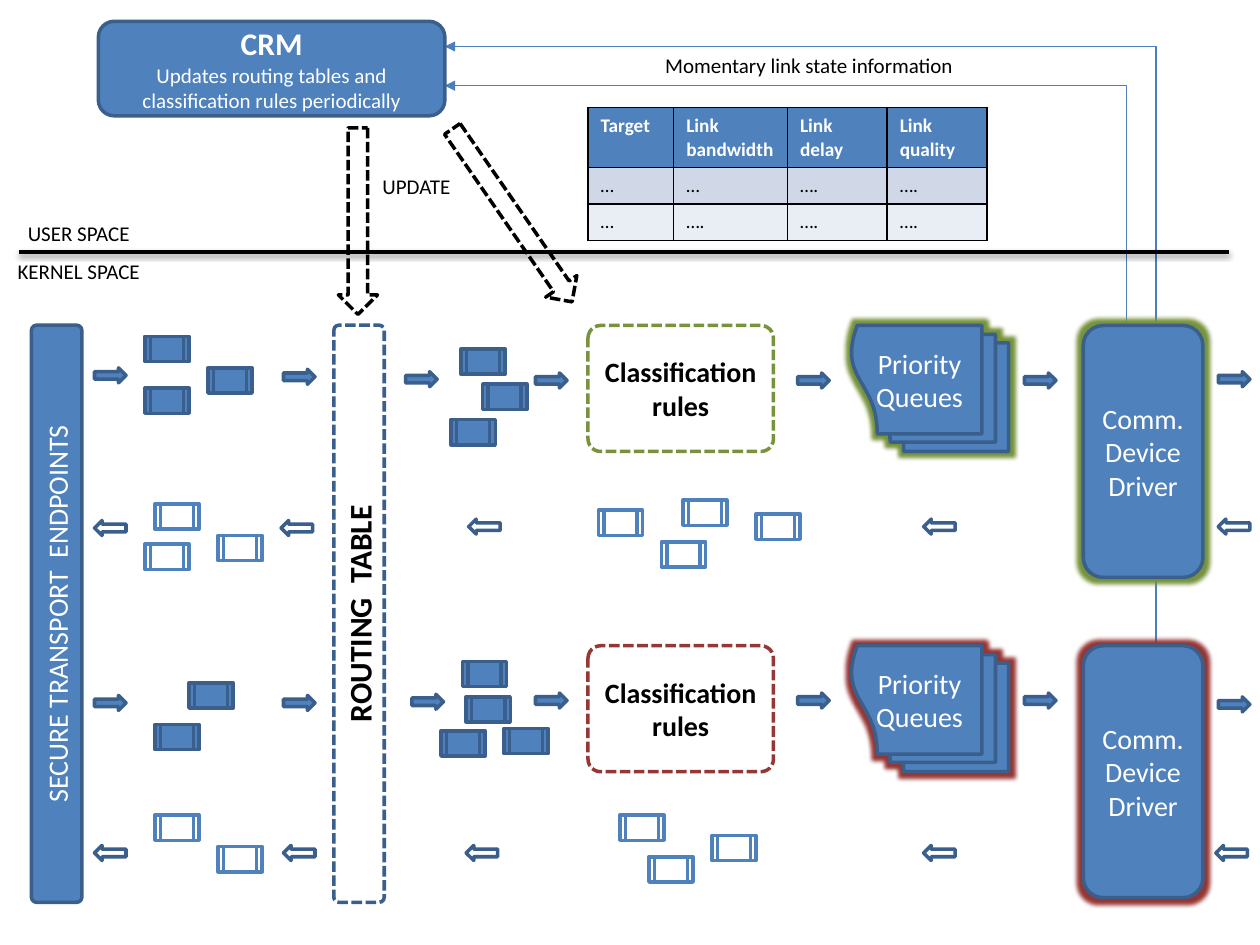
from lxml.etree import SubElement
from pptx import Presentation
from pptx.dml.color import RGBColor
from pptx.enum.dml import MSO_LINE
from pptx.enum.shapes import MSO_CONNECTOR, MSO_SHAPE
from pptx.enum.text import MSO_ANCHOR, MSO_AUTO_SIZE, PP_ALIGN
from pptx.oxml.ns import qn
from pptx.util import Pt

BLUE = RGBColor(0x4F, 0x81, 0xBD)
DARK_BLUE = RGBColor(0x3A, 0x5F, 0x8C)
LINK_BLUE = RGBColor(0x4B, 0x7E, 0xBC)
GREEN = RGBColor(0x77, 0x93, 0x3C)
RED = RGBColor(0x95, 0x37, 0x35)
BAND = RGBColor(0xD0, 0xD8, 0xE8)
PALE_BAND = RGBColor(0xE9, 0xED, 0xF4)
BLACK = RGBColor(0, 0, 0)
WHITE = RGBColor(0xFF, 0xFF, 0xFF)

deck = Presentation()
deck.slide_width, deck.slide_height = Pt(720), Pt(540)
page = deck.slides.add_slide(deck.slide_layouts[6])


def draw(kind, left, top, width, height, fill, outline, dashed=False, turn=0):
    shape = page.shapes.add_shape(kind, Pt(left), Pt(top), Pt(width), Pt(height))
    shape.shadow.inherit = False
    shape.rotation = turn
    if fill is None:
        shape.fill.background()
    else:
        shape.fill.solid()
        shape.fill.fore_color.rgb = fill
    shape.line.color.rgb = outline
    shape.line.width = Pt(2)
    if dashed:
        shape.line.dash_style = MSO_LINE.SQUARE_DOT
    return shape


def write(frame, lines, color, align=PP_ALIGN.CENTER, vertical=False):
    frame.word_wrap = True
    if vertical:
        frame._txBody.bodyPr.set("vert", "vert270")
    for index, (text, size, bold) in enumerate(lines):
        para = frame.add_paragraph() if index else frame.paragraphs[0]
        para.alignment = align
        span = para.add_run()
        span.text = text
        span.font.name = "Calibri"
        span.font.size = Pt(size)
        span.font.bold = bold
        span.font.color.rgb = color


# x and y of the driver end, y of the CRM end, bend position
for x, y, crm_y, bend in [(635.8, 185.8, 49, -2100), (660.2, 368.6, 26.6, -100)]:
    link = page.shapes.add_connector(
        MSO_CONNECTOR.ELBOW, Pt(x), Pt(y), Pt(254.2), Pt(crm_y))
    link.line.color.rgb = LINK_BLUE
    link.line.width = Pt(0.75)
    SubElement(link.line._get_or_add_ln(), qn("a:tailEnd"), type="triangle")
    guides = link.element.spPr.find(qn("a:prstGeom")).find(qn("a:avLst"))
    SubElement(guides, qn("a:gd"), name="adj1", fmla=f"val {bend}")
    SubElement(link.element.spPr, qn("a:effectLst"))

rows = [
    (33.5, BLUE, WHITE, ["Target", "Link bandwidth", "Link delay", "Link quality"]),
    (20.5, BAND, BLACK, ["…", "…", "….", "…."]),
    (20.5, PALE_BAND, BLACK, ["…", "….", "….", "…."]),
]
table = page.shapes.add_table(3, 4, Pt(336), Pt(61.4), Pt(228), Pt(74.5)).table
for column, width in zip(table.columns, [49, 65, 57, 57]):
    column.width = Pt(width)
for r, (height, fill, color, texts) in enumerate(rows):
    table.rows[r].height = Pt(height)
    for c, text in enumerate(texts):
        cell = table.cell(r, c)
        write(cell.text_frame, [(text, 11, r == 0)], color, PP_ALIGN.LEFT)
        properties = cell._tc.get_or_add_tcPr()
        for side in ("a:lnL", "a:lnR", "a:lnT", "a:lnB"):
            border = SubElement(properties, qn(side), w=str(Pt(1)))
            paint = SubElement(border, qn("a:solidFill"))
            SubElement(paint, qn("a:srgbClr"), val=str(BLACK))
        cell.fill.solid()
        cell.fill.fore_color.rgb = fill

crm = draw(MSO_SHAPE.ROUNDED_RECTANGLE, 56.2, 12.2, 198, 54, BLUE, DARK_BLUE)
write(crm.text_frame, [
    ("CRM", 18, True),
    ("Updates routing tables and classification rules periodically", 12, False),
], WHITE)

for left, text, size, fill, color in [
    (18, "SECURE TRANSPORT  ENDPOINTS", 16, BLUE, WHITE),
    (190.8, "ROUTING  TABLE", 18, None, BLACK),
]:
    pillar = draw(MSO_SHAPE.ROUNDED_RECTANGLE, left, 185.8, 28.8, 329.8,
                  fill, DARK_BLUE, dashed=fill is None)
    pillar.adjustments[0] = 0.1
    write(pillar.text_frame, [(text, size, fill is None)], color, vertical=True)

draw(MSO_SHAPE.RIGHT_ARROW, 151.2, 115.2, 106.6, 22.3, None, BLACK, True, 90)
draw(MSO_SHAPE.RIGHT_ARROW, 232.6, 112.3, 120.2, 21.6, None, BLACK, True, 55.3)

divider = page.shapes.add_connector(
    MSO_CONNECTOR.STRAIGHT, Pt(10.8), Pt(144), Pt(702), Pt(144))
divider.line.color.rgb = BLACK
divider.line.width = Pt(2)
effects = SubElement(divider.element.spPr, qn("a:effectLst"))
shadow = SubElement(effects, qn("a:outerShdw"), blurRad=str(Pt(3.1)),
                    dist=str(Pt(1.6)), dir="5400000", rotWithShape="0")
shade = SubElement(shadow, qn("a:srgbClr"), val=str(BLACK))
SubElement(shade, qn("a:alpha"), val="38000")

for text, left, top, width, align in [
    ("Momentary link state information", 373, 26.6, 192.2, PP_ALIGN.LEFT),
    ("UPDATE", 205.9, 95.8, 64.1, PP_ALIGN.CENTER),
    ("USER SPACE", 0, 122.4, 90, PP_ALIGN.CENTER),
    ("KERNEL SPACE", 0, 144, 90, PP_ALIGN.CENTER),
]:
    box = page.shapes.add_textbox(Pt(left), Pt(top), Pt(width), Pt(21.6))
    write(box.text_frame, [(text, 12, False)], BLACK, align)
    box.text_frame.auto_size = MSO_AUTO_SIZE.SHAPE_TO_FIT_TEXT

for top, accent in [(186, GREEN), (369, RED)]:
    rules = draw(MSO_SHAPE.ROUNDED_RECTANGLE, 336, top, 106, 72, None, accent, True)
    rules.adjustments[0] = 0.1
    write(rules.text_frame, [("Classification rules", 16, True)], BLACK)
    queues = draw(MSO_SHAPE.FLOWCHART_MULTIDOCUMENT, 495.4, top - 9, 72, 90,
                  BLUE, DARK_BLUE, turn=90)
    write(queues.text_frame, [("Priority", 16, False), ("Queues", 16, False)],
          WHITE, vertical=True)
    driver = draw(MSO_SHAPE.ROUNDED_RECTANGLE, 619, top, 68.4, 144, BLUE, DARK_BLUE)
    write(driver.text_frame,
          [(word, 16, False) for word in ("Comm.", "Device", "Driver")], WHITE)
    for shape in (rules, queues, driver):
        shape.text_frame.vertical_anchor = MSO_ANCHOR.MIDDLE
    for shape in (queues, driver):
        effects = shape.element.spPr.find(qn("a:effectLst"))
        glow = SubElement(effects, qn("a:glow"), rad=str(Pt(5)))
        SubElement(glow, qn("a:srgbClr"), val=str(accent))

outgoing_arrows = [
    (54, 210.2), (162, 211), (231.8, 212.4), (306, 213.1),
    (455.8, 213.1), (585.4, 213.1), (696.2, 212.4),
    (54, 397.4), (162, 397.4), (235.4, 396.7), (306, 396),
    (455.8, 396), (585.4, 396), (696.2, 398.2),
]
incoming_arrows = [
    (54, 297.4), (160.6, 297.4), (267.8, 296.6), (527.8, 296.6), (696.2, 296.6),
    (54, 483.1), (162, 483.1), (266.4, 483.1), (527.8, 483.1), (694.8, 483.1),
]
for places, fill, turn in [(outgoing_arrows, BLUE, 0), (incoming_arrows, None, 180)]:
    for left, top in places:
        draw(MSO_SHAPE.RIGHT_ARROW, left, top, 18, 8.6, fill, DARK_BLUE, turn=turn)

outgoing_packets = [
    (82.8, 192.2), (118.8, 210.2), (82.8, 221.8),
    (263.5, 199.4), (275.8, 219.6), (257.8, 239.8),
    (108, 390.2), (88.6, 414),
    (264.2, 378), (266.4, 398.2), (252, 417.6), (288, 416.2),
]
incoming_packets = [
    (88.6, 288), (124.6, 306), (82.8, 311),
    (342, 291.6), (390.2, 285.8), (378, 309.6), (432, 293.8),
    (88.6, 465.8), (124.6, 483.8),
    (354.2, 465.8), (370.8, 489.6), (406.8, 477.4),
]
for places, fill, outline in [(outgoing_packets, BLUE, DARK_BLUE),
                              (incoming_packets, None, BLUE)]:
    for left, top in places:
        draw(MSO_SHAPE.FLOWCHART_PREDEFINED_PROCESS, left, top, 25.2, 14.4, fill, outline)

deck.save("out.pptx")
